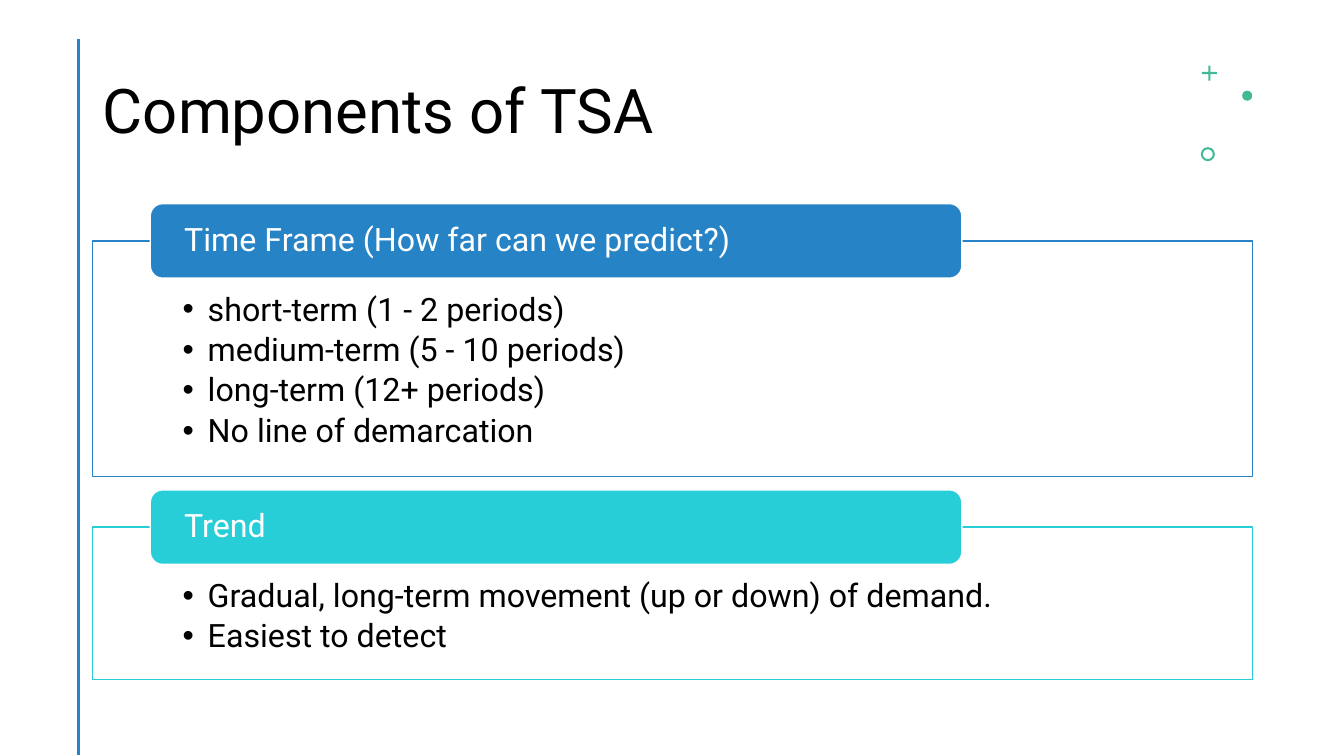
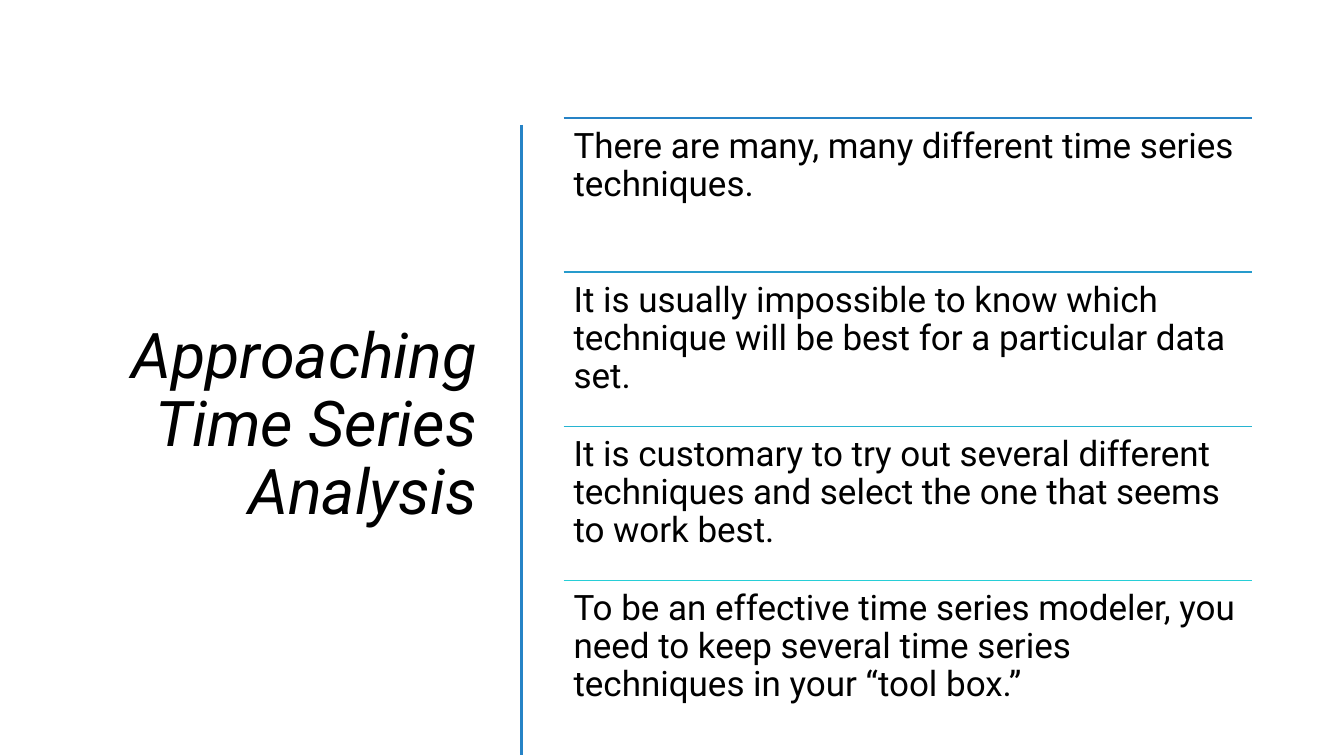
from dataclasses import dataclass

from lxml import etree
from pptx import Presentation
from pptx.dml.color import RGBColor
from pptx.enum.shapes import MSO_CONNECTOR, MSO_SHAPE
from pptx.enum.text import MSO_ANCHOR, MSO_AUTO_SIZE, PP_ALIGN
from pptx.oxml.ns import qn
from pptx.util import Inches, Pt

STRAIGHT = MSO_CONNECTOR.STRAIGHT
CROSS, OVAL, DONUT = MSO_SHAPE.CROSS, MSO_SHAPE.OVAL, MSO_SHAPE.DONUT
ROUNDED = MSO_SHAPE.ROUNDED_RECTANGLE
TOP, MIDDLE = MSO_ANCHOR.TOP, MSO_ANCHOR.MIDDLE
LEFT, RIGHT = PP_ALIGN.LEFT, PP_ALIGN.RIGHT
NO_AUTOFIT = MSO_AUTO_SIZE.NONE
TWO_CONTENT, TITLE_ONLY = 3, 5


@dataclass(frozen=True)
class Theme:
    font: str = "Roboto"
    black: str = "000000"
    white: str = "FFFFFF"
    blue: str = "2683C6"
    turquoise: str = "27CED7"
    green: str = "42BA97"
    rule_colors: tuple = ("2683C6", "269BCC", "27B4D1", "27CED7")
    title_size: int = 44
    side_title_size: int = 45
    list_size: int = 23
    statement_size: int = 25
    line_spacing: float = 0.9
    right_edge: float = 12.42


THEME = Theme()


def place(shape, left, top, width, height):
    shape.left, shape.top = Inches(left), Inches(top)
    shape.width, shape.height = Inches(width), Inches(height)


def paint(shape, fill, line=None):
    """Give a shape a solid fill and a thin outline, or none."""
    shape.fill.solid()
    shape.fill.fore_color.rgb = RGBColor.from_string(fill)
    if line:
        shape.line.color.rgb = RGBColor.from_string(line)
        shape.line.width = Pt(1)
    else:
        shape.line.fill.background()


def set_frame(frame, anchor, margins=(0.1, 0.05, 0.1, 0.05)):
    frame.word_wrap = True
    frame.auto_size = NO_AUTOFIT
    frame.vertical_anchor = anchor
    (frame.margin_left, frame.margin_top,
     frame.margin_right, frame.margin_bottom) = map(Inches, margins)


def style_paragraph(paragraph, size, color=THEME.black, align=LEFT, after=0):
    paragraph.alignment = align
    paragraph.line_spacing = THEME.line_spacing
    paragraph.space_before = Pt(0)
    paragraph.space_after = Pt(after)
    paragraph.font.name = THEME.font
    paragraph.font.size = Pt(size)
    paragraph.font.color.rgb = RGBColor.from_string(color)


def add_bullet(paragraph):
    properties = paragraph._p.get_or_add_pPr()
    properties.set("marL", str(Inches(0.25)))
    properties.set("indent", str(-Inches(0.25)))
    etree.SubElement(properties, qn("a:buChar")).set("char", "•")


def add_rule(slide, start, end, color, width):
    rule = slide.shapes.add_connector(STRAIGHT, *map(Inches, start + end))
    rule.line.color.rgb = RGBColor.from_string(color)
    rule.line.width = Pt(width)
    etree.SubElement(rule._element.spPr, qn("a:effectLst"))


def add_accent_bar(slide, x, top):
    """Draw the vertical line that runs off the bottom beside the title."""
    add_rule(slide, (x, top), (x, 7.49), THEME.blue, 2)


def set_title(slide, text, box, size, align=LEFT, italic=False):
    title = slide.shapes.title
    place(title, *box)
    title.text = text
    set_frame(title.text_frame, MIDDLE)
    heading = title.text_frame.paragraphs[0]
    style_paragraph(heading, size, align=align)
    heading.font.italic = italic


def add_ornaments(slide):
    ornaments = (
        (CROSS, 11.92, 0.65, 0.15, 0.43),
        (OVAL, 12.32, 0.9, 0.1, None),
        (DONUT, 11.91, 1.46, 0.14, 0.15),
    )
    for kind, left, top, size, adjustment in ornaments:
        ornament = slide.shapes.add_shape(
            kind, Inches(left), Inches(top), Inches(size), Inches(size))
        ornament.shadow.inherit = False
        paint(ornament, THEME.green)
        if adjustment:
            ornament.adjustments[0] = adjustment


def fill_panel(panel, top, height, color, items):
    """Turn a body placeholder into an outlined bullet list."""
    left = 0.92
    place(panel, left, top, THEME.right_edge - left, height)
    paint(panel, THEME.white, color)
    panel.text = "\n".join(items)
    set_frame(panel.text_frame, TOP, (0.89, 0.52, 0.89, 0.18))
    for paragraph in panel.text_frame.paragraphs:
        add_bullet(paragraph)
        style_paragraph(paragraph, THEME.list_size, after=4)


def add_panel_label(slide, panel_top, color, text):
    """Add the rounded heading that straddles a panel's top edge."""
    height = 0.74
    label = slide.shapes.add_shape(
        ROUNDED, Inches(1.49), Inches(panel_top - height / 2),
        Inches(8.05), Inches(height))
    label.shadow.inherit = False
    paint(label, color, THEME.white)
    label.text_frame.text = text
    set_frame(label.text_frame, MIDDLE, (0.3, 0, 0.3, 0))
    style_paragraph(label.text_frame.paragraphs[0], THEME.list_size, THEME.white)


def add_statement(slide, top, height, color, text):
    """Add a text row with a coloured rule above it."""
    left = 5.59
    add_rule(slide, (left, top), (THEME.right_edge, top), color, 1)
    statement = slide.shapes.add_textbox(
        Inches(left), Inches(top),
        Inches(THEME.right_edge - left), Inches(height))
    statement.text_frame.text = text
    set_frame(statement.text_frame, TOP, (0.1, 0.1, 0.1, 0.1))
    style_paragraph(statement.text_frame.paragraphs[0], THEME.statement_size)


def build_components(deck):
    slide = deck.slides.add_slide(deck.slide_layouts[TWO_CONTENT])
    set_title(slide, "Components of TSA", (0.92, 0.4, 10.76, 1.45),
              THEME.title_size)
    add_accent_bar(slide, 0.78, 0.39)
    add_ornaments(slide)
    components = (
        ("Time Frame (How far can we predict?)", THEME.blue, 2.39, 2.34,
         ("short-term (1 - 2 periods)", "medium-term (5 - 10 periods)",
          "long-term (12+ periods)", "No line of demarcation")),
        ("Trend", THEME.turquoise, 5.23, 1.51,
         ("Gradual, long-term movement (up or down) of demand.",
          "Easiest to detect")),
    )
    for index, (name, color, top, height, items) in enumerate(components, 1):
        fill_panel(slide.placeholders[index], top, height, color, items)
        add_panel_label(slide, top, color, name)


def build_approach(deck):
    slide = deck.slides.add_slide(deck.slide_layouts[TITLE_ONLY])
    set_title(slide, "Approaching Time Series Analysis",
              (0.52, 1.17, 4.31, 6.11), THEME.side_title_size, RIGHT, True)
    add_accent_bar(slide, 5.17, 1.24)
    statements = (
        "There are many, many different time series techniques.",
        "It is usually impossible to know which technique will be best "
        "for a particular data set.",
        "It is customary to try out several different techniques and select "
        "the one that seems to work best.",
        "To be an effective time series modeler, you need to keep several "
        "time series techniques in your “tool box.”",
    )
    first_top, row_height = 1.17, 1.53
    for row, (text, color) in enumerate(zip(statements, THEME.rule_colors)):
        add_statement(slide, first_top + row * row_height, row_height, color, text)


def main():
    deck = Presentation()
    deck.slide_width, deck.slide_height = Inches(13.33), Inches(7.5)
    build_components(deck)
    build_approach(deck)
    deck.save("out.pptx")


if __name__ == "__main__":
    main()
